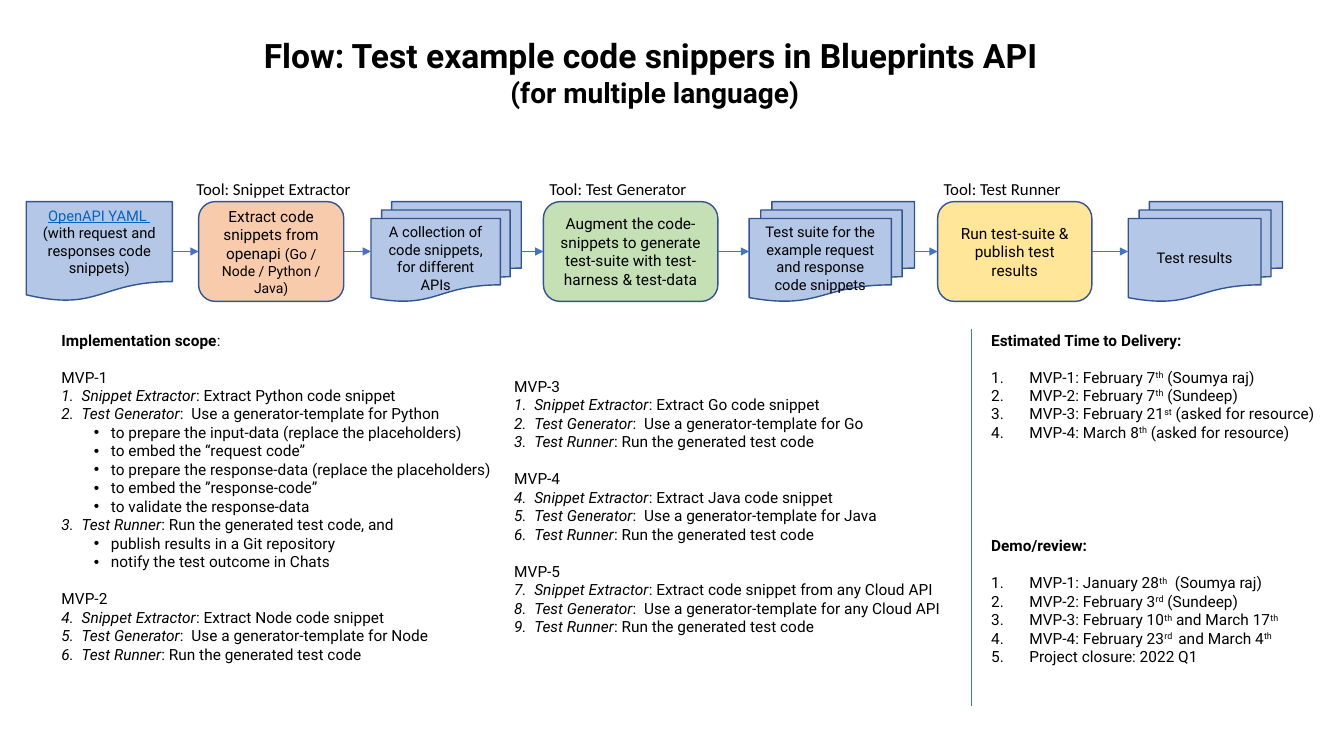
from lxml import etree
from pptx import Presentation
from pptx import util as u
from pptx.dml.color import RGBColor
from pptx.enum import shapes, text
from pptx.oxml import ns

BLACK = RGBColor(0, 0, 0)
LINK = RGBColor(0x05, 0x63, 0xC1)
BLUE = RGBColor(0xB4, 0xC7, 0xE7)
ORANGE = RGBColor(0xF8, 0xCB, 0xAD)
GREEN = RGBColor(0xC5, 0xE0, 0xB4)
YELLOW = RGBColor(0xFF, 0xE6, 0x99)
OUTLINE = RGBColor(0x32, 0x54, 0x91)
ARROW = RGBColor(0x44, 0x72, 0xC4)


def add_span(para, words, size, color=BLACK, **formats):
    """Add a run of text with the given font formats."""
    span = para.add_run()
    span.text = words
    span.font.color.rgb = color
    for name, value in {"name": "Roboto", "size": u.Pt(size), **formats}.items():
        setattr(span.font, name, value)
    return span


def add_line(start, end, arrow=False):
    """Add a thin line without shadow, with an arrowhead if asked for."""
    line = slide.shapes.add_connector(shapes.MSO_CONNECTOR.STRAIGHT,
                                      *map(u.Inches, start + end))
    line.line.color.rgb = ARROW
    line.line.width = u.Pt(0.5)
    properties = line._element.spPr
    if arrow:
        etree.SubElement(properties.find(ns.qn("a:ln")), ns.qn("a:tailEnd"), type="triangle")
    etree.SubElement(properties, ns.qn("a:effectLst"))
    return line


deck = Presentation()
deck.slide_width, deck.slide_height = u.Inches(13.33), u.Inches(7.5)
slide = deck.slides.add_slide(deck.slide_layouts.get_by_name("Comparison"))

# Title
title = slide.shapes.title
title.left, title.top, title.width, title.height = map(u.Inches, (0.46, 0.3, 12.07, 0.84))
title.text_frame.vertical_anchor = text.MSO_ANCHOR.TOP
title.text_frame.auto_size = text.MSO_AUTO_SIZE.NONE
para = title.text_frame.paragraphs[0]
para.alignment = text.PP_ALIGN.CENTER
add_span(para, "Flow: Test example code snippers in Blueprints API ", 24, bold=True)
para.add_line_break()
add_span(para, "(for multiple language)", 20, bold=True)

# Flow: kind, left, width, fill, paragraphs of (words, size, color, underline)
DOCUMENT = shapes.MSO_SHAPE.FLOWCHART_DOCUMENT
STACK = shapes.MSO_SHAPE.FLOWCHART_MULTIDOCUMENT
TOOL = shapes.MSO_SHAPE.ROUNDED_RECTANGLE
flow = [
    (DOCUMENT, 0.26, 1.45, BLUE,
     [[("OpenAPI YAML ", 10.5, LINK, True)],
      [("(with request and responses code snippets)", 10.5, BLACK, False)]]),
    (TOOL, 1.97, 1.44, ORANGE,
     [[("Extract code snippets from openapi ", 11, BLACK, False),
       ("(Go / Node / Python / Java)", 10, BLACK, False)]]),
    (STACK, 3.68, 1.49, BLUE,
     [[("A collection of code snippets, for different APIs", 10.5, BLACK, False)]]),
    (TOOL, 5.39, 1.73, GREEN,
     [[("Augment the code-snippets to generate test-suite with test-harness & test-data",
        11, BLACK, False)]]),
    (STACK, 7.43, 1.64, BLUE,
     [[("Test suite for the example request and response code snippets",
        10.5, BLACK, False)]]),
    (TOOL, 9.3, 1.53, YELLOW,
     [[("Run test-suite & publish test results", 11, BLACK, False)]]),
    (STACK, 11.19, 1.53, BLUE, [[("Test results", 10.5, BLACK, False)]]),
]
previous = None
for kind, left, width, fill, paragraphs in flow:
    box = slide.shapes.add_shape(kind, *map(u.Inches, (left, 2, width, 0.99)))
    box.shadow.inherit = False
    box.fill.solid()
    box.fill.fore_color.rgb = fill
    box.line.color.rgb = OUTLINE
    box.line.width = u.Pt(1)
    frame = box.text_frame
    frame.word_wrap = True
    frame.vertical_anchor = text.MSO_ANCHOR.MIDDLE
    for index, spans in enumerate(paragraphs):
        para = frame.add_paragraph() if index else frame.paragraphs[0]
        para.alignment = text.PP_ALIGN.CENTER
        for words, size, color, underline in spans:
            add_span(para, words, size, color, underline=underline)
    if previous is not None:
        arrow = add_line((left - 0.2, 2.5), (left, 2.5), arrow=True)
        arrow.begin_connect(previous, 3)
        arrow.end_connect(box, 1)
    previous = box

for tool, left, width in [("Snippet Extractor", 1.85, 1.75),
                          ("Test Generator", 5.35, 1.58),
                          ("Test Runner", 9.26, 1.38)]:
    label = slide.shapes.add_textbox(*map(u.Inches, (left, 1.72, width, 0.3)))
    label.text_frame.word_wrap = False
    add_span(label.text_frame.paragraphs[0], f"Tool: {tool}", 12, name="Calibri")

add_line((9.63, 3.26), (9.63, 7))

# Lists: a leading mark formats a piece, and "|" ends it
MARKS = {"*": {"bold": True}, "/": {"italic": True}, "^": {}}
NUMBER = ("buAutoNum", {"type": "arabicPeriod"})
BULLET = ("buChar", {"char": "•"})
PLAIN = ("buNone", {})
# Style: level, indent, hanging, bullet, space before in points
STYLES = {
    "plain": (0, 0, 0, PLAIN, 13.2),
    "step": (0, 0.2, 0.2, NUMBER, 0),
    "point": (1, 0.49, 0.17, BULLET, 0),
    "first": (0, 0.38, 0.38, NUMBER, 13.2),
    "date": (0, 0.38, 0.38, NUMBER, 0),
}
versions = {}
for number, snippet, target in [(2, "Node code snippet", "Node"),
                                (3, "Go code snippet", "Go"),
                                (4, "Java code snippet", "Java"),
                                (5, "code snippet from any Cloud API", "any Cloud API")]:
    versions[number] = [
        ("plain", f"MVP-{number}"),
        ("step", f"/Snippet Extractor|: Extract {snippet}"),
        ("step", f"/Test Generator|:  Use a generator-template for {target}"),
        ("step", "/Test Runner|: Run the generated test code"),
    ]
scope = [
    ("plain", "*Implementation scope|:"),
    ("plain", "MVP-1"),
    ("step", "/Snippet Extractor|: Extract Python code snippet"),
    ("step", "/Test Generator|:  Use a generator-template for Python"),
    ("point", "to prepare the input-data (replace the placeholders)"),
    ("point", "to embed the “request code” "),
    ("point", "to prepare the response-data (replace the placeholders)"),
    ("point", "to embed the ”response-code”"),
    ("point", "to validate the response-data"),
    ("step", "/Test Runner|: Run the generated test code, and "),
    ("point", "publish results in a Git repository "),
    ("point", "notify the test outcome in Chats"),
] + versions[2]
delivery = [
    ("plain", "*Estimated Time to Delivery:"),
    ("first", "MVP-1: February 7|^th| (Soumya raj)"),
    ("date", "MVP-2: February 7|^th| (Sundeep)"),
    ("date", "MVP-3: February 21|^st| (asked for resource)"),
    ("date", "MVP-4: March 8|^th| (asked for resource)"),
]
review = [
    ("plain", "*Demo/review:"),
    ("first", "MVP-1: January 28|^th|  (Soumya raj)"),
    ("date", "MVP-2: February 3|^rd| (Sundeep)"),
    ("date", "MVP-3: February 10|^th| and March 17|^th"),
    ("date", "MVP-4: February 23|^rd | and March 4|^th"),
    ("date", "Project closure: 2022 Q1"),
]
lists = [
    ((0.51, 3.23, 4.54, 3.43), scope),
    ((5, 3.69, 4.54, 2.7), versions[3] + versions[4] + versions[5]),
    ((9.73, 3.23, 3.6, 1.21), delivery),
    ((9.73, 5.27, 3.6, 1.4), review),
]
bodies = [holder for holder in slide.placeholders if holder.placeholder_format.idx]
for body, (place, lines) in zip(bodies, lists):
    body.left, body.top, body.width, body.height = map(u.Inches, place)
    frame = body.text_frame
    frame.vertical_anchor = text.MSO_ANCHOR.TOP
    frame.auto_size = text.MSO_AUTO_SIZE.NONE
    for index, (style, line) in enumerate(lines):
        level, indent, hanging, (bullet, settings), gap = STYLES[style]
        para = frame.add_paragraph() if index else frame.paragraphs[0]
        para.level = level
        para.space_before = u.Pt(gap if index else 0)
        properties = para._p.get_or_add_pPr()
        properties.set("marL", str(u.Inches(indent)))
        properties.set("indent", str(-u.Inches(hanging)))
        if bullet == "buChar":
            etree.SubElement(properties, ns.qn("a:buFont"), typeface="Arial")
        etree.SubElement(properties, ns.qn(f"a:{bullet}"), settings)
        for piece in line.split("|"):
            mark = piece[0] if piece[0] in MARKS else ""
            formats = {"bold": False, **MARKS.get(mark, {})}
            span = add_span(para, piece[len(mark):], 11, **formats)
            if mark == "^":
                span.font._element.set("baseline", "30000")

deck.save("out.pptx")
